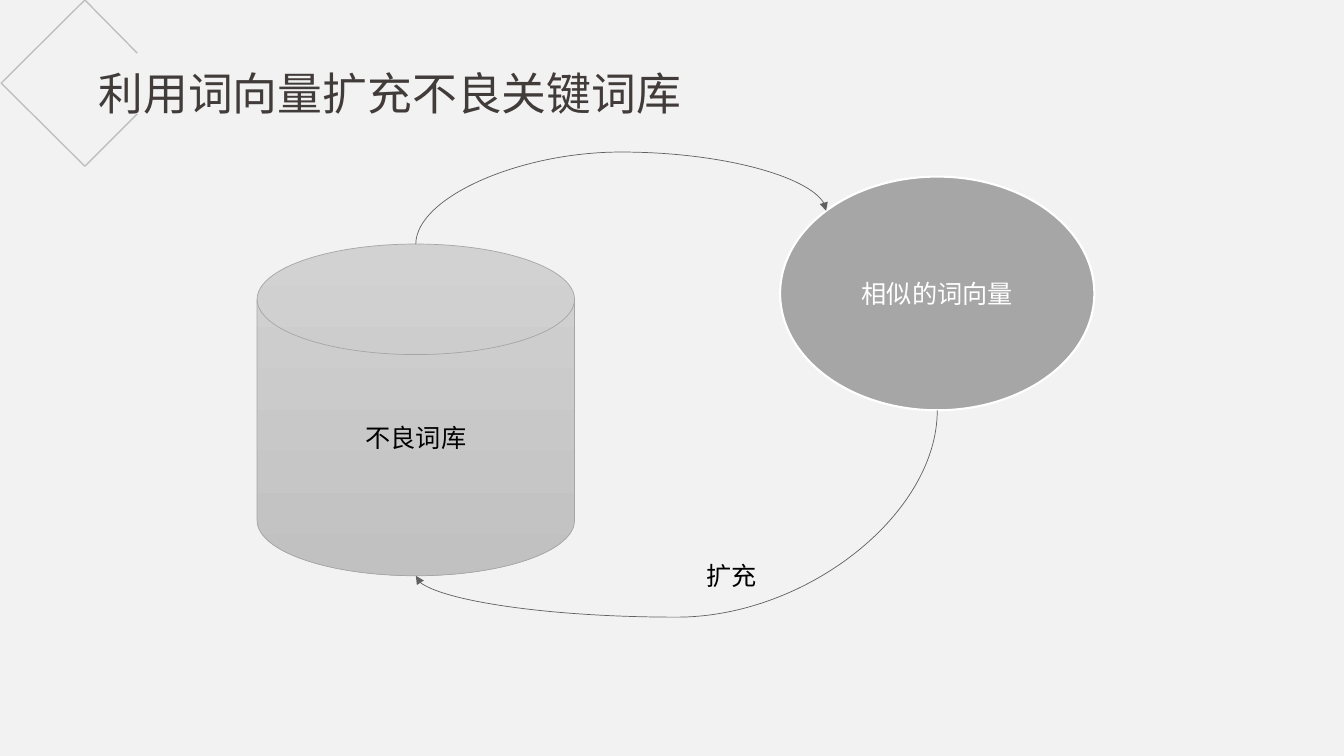
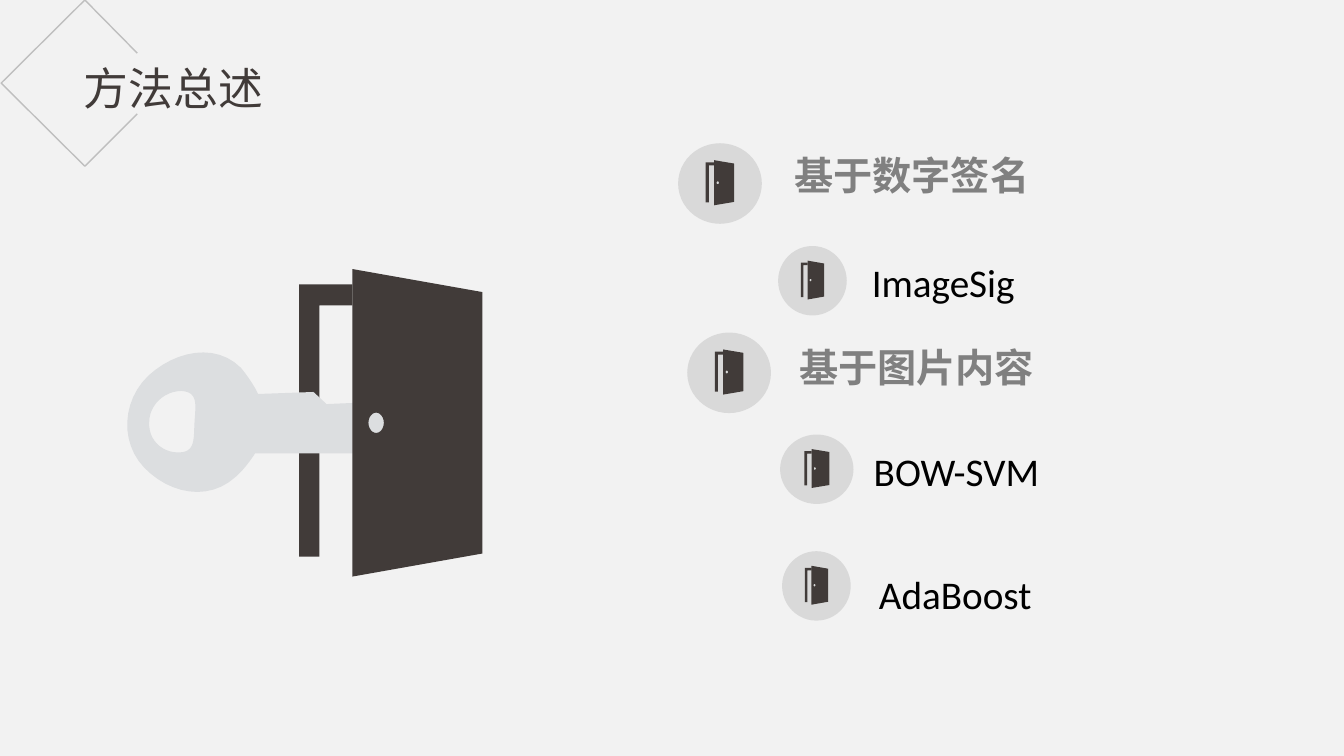
import math

from lxml import etree
from pptx import Presentation
from pptx.dml.color import RGBColor
from pptx.enum import shapes, text
from pptx.oxml.ns import qn
from pptx.util import Cm, Pt

PAPER = RGBColor(0xF2, 0xF2, 0xF2)
INK = RGBColor(0x41, 0x3B, 0x39)
HEADING = RGBColor(0x80, 0x80, 0x80)
SILVER = RGBColor(0xA6, 0xA6, 0xA6)
DISC = RGBColor(0xD9, 0xD9, 0xD9)
KEY = RGBColor(0xDC, 0xDE, 0xE0)
CORNER = RGBColor(0xBF, 0xBF, 0xBF)
ARROW = RGBColor(0x61, 0x61, 0x61)
CAN_TOP = RGBColor(0xD2, 0xD2, 0xD2)
CAN_BOTTOM = RGBColor(0xC1, 0xC1, 0xC1)
BLACK = RGBColor(0, 0, 0)
WHITE = RGBColor(0xFF, 0xFF, 0xFF)

CJK = "Noto Sans CJK JP"
CJK_BOLD = "Noto Sans CJK SC"
LATIN = "Calibri"

# Outlines are drawn on a grid: (x, y) is a line, six numbers are a Bezier curve.
PERCENT = (100, 100)
CORNER_LINE = [(100, 32), (61.5, 0), (0, 50), (61.5, 100), (100, 68.5)]
DOOR_FRAME = [(29, 5), (0, 5), (0, 93.5), (11, 93.5), (11, 11.8), (29, 11.8)]
DOOR_PANEL = [(29, 0), (100, 7.5), (100, 92.5), (29, 100)]
DOOR_KNOB = [(42 + 4.2 * math.cos(a * math.pi / 12), 50 + 3.3 * math.sin(a * math.pi / 12))
             for a in range(24)]
KEY_GRID = (280, 150)
KEY_HOLE = [(60, 43), (77, 44, 74, 57, 73, 74), (72, 91, 74, 104, 57, 104),
            (40, 104, 27, 91, 28, 74), (28, 57, 43, 43, 60, 43)]
KEY_BODY = [(27, 28), (1, 53, -1, 94, 23, 119), (48, 145, 87, 153, 114, 128),
            (120, 123, 128, 113, 133, 105), (245, 105), (249, 105, 255, 103, 258, 100),
            (276, 83), (279, 80, 279, 76, 277, 73), (264, 59),
            (261, 56, 255, 54, 251, 54), (204, 56), (191, 44), (136, 46),
            (132, 37, 124, 26, 119, 20), (94, -5, 54, 3, 27, 28)]


def cm_box(*lengths):
    return [Cm(v) for v in lengths]


def write(shape, content, size=18, font=CJK, color=BLACK, bold=False,
          align=text.PP_ALIGN.LEFT, inset=0.25, wrap=True):
    tf = shape.text_frame
    tf.word_wrap = wrap
    tf.auto_size = text.MSO_AUTO_SIZE.NONE
    tf.vertical_anchor = text.MSO_ANCHOR.MIDDLE
    tf.margin_left = tf.margin_right = Cm(inset)
    tf.margin_top = tf.margin_bottom = 0
    p = tf.paragraphs[0]
    p.alignment = align
    r = p.add_run()
    r.text = content
    r.font.size, r.font.bold, r.font.name = Pt(size), bold, font
    r.font.color.rgb = color
    etree.SubElement(r._r.get_or_add_rPr(), qn("a:ea"), typeface=font)


def flatten(outline, steps=12):
    """Turn lines and Bezier curves into plain points."""
    points = [outline[0]]
    for segment in outline[1:]:
        if len(segment) == 2:
            points.append(segment)
            continue
        ends = [points[-1], segment[:2], segment[2:4], segment[4:]]
        for i in range(1, steps + 1):
            t = i / steps
            weights = [(1 - t) ** 3, 3 * t * (1 - t) ** 2, 3 * t * t * (1 - t), t ** 3]
            points.append(tuple(sum(w * e[axis] for w, e in zip(weights, ends))
                                for axis in (0, 1)))
    return points


def draw_outline(parent, box, grid, outlines, fill=None, line=None):
    """Draw outlines as one freeform; an outline inside another makes a hole."""
    x, y, w, h = box
    closed = fill is not None
    builder = None
    for outline in outlines:
        points = [(x + px * w / grid[0], y + py * h / grid[1]) for px, py in flatten(outline)]
        if builder is None:
            builder = parent.build_freeform(*points[0], scale=1.0)
        else:
            builder.move_to(*points[0])
        builder.add_line_segments(points[1:], close=closed)
    sp = builder.convert_to_shape()
    paint(sp, fill, line, 1)


def paint(sp, fill=None, line=None, width=1):
    sp.shadow.inherit = False
    if fill is None:
        sp.fill.background()
    else:
        sp.fill.solid()
        sp.fill.fore_color.rgb = fill
    if line is None:
        sp.line.fill.background()
    else:
        sp.line.color.rgb = line
        sp.line.width = Pt(width)


def add_titled_slide(prs, title, box):
    s = prs.slides.add_slide(prs.slide_layouts.get_by_name("Title Only"))
    draw_outline(s.shapes, cm_box(0.03, 0, 3.43, 4.19), PERCENT, [CORNER_LINE], line=CORNER)
    sp = s.shapes.title
    sp.left, sp.top, sp.width, sp.height = box
    write(sp, title, size=32, color=INK, align=text.PP_ALIGN.CENTER, wrap=False)
    return s


def add_node(s, kind, box, label, color):
    sp = s.shapes.add_shape(kind, *box)
    write(sp, label, color=color, align=text.PP_ALIGN.CENTER)
    return sp


def add_arc_arrow(s, start, end, bend):
    """Join two (shape, site, x, y) ends by a curve that leaves and arrives vertically."""
    (tail, tail_site, x1, y1), (head, head_site, x2, y2) = start, end
    w, h = abs(y2 - y1), abs(x2 - x1)
    left, top = (x1 + x2 - w) // 2, (y1 + y2 - h) // 2
    c = s.shapes.add_connector(shapes.MSO_CONNECTOR.CURVE, left, top, left + w, top + h)
    c.line.color.rgb = ARROW
    c.line.width = Pt(0.5)
    spPr = c._element.spPr
    xfrm = spPr.find(qn("a:xfrm"))
    xfrm.set("rot", "5400000")
    if y2 < y1:
        xfrm.set("flipH", "1")
    if x2 > x1:
        xfrm.set("flipV", "1")
    guides = spPr.find(qn("a:prstGeom")).get_or_add_avLst()
    etree.SubElement(guides, qn("a:gd"), name="adj1", fmla=f"val {round(bend * 100000)}")
    etree.SubElement(spPr.find(qn("a:ln")), qn("a:tailEnd"), type="triangle")
    etree.SubElement(spPr, qn("a:effectLst"))
    links = c._element.find(qn("p:nvCxnSpPr")).find(qn("p:cNvCxnSpPr"))
    for tag, sp, site in (("a:stCxn", tail, tail_site), ("a:endCxn", head, head_site)):
        etree.SubElement(links, qn(tag), id=str(sp.shape_id), idx=str(site))


def add_expansion_cycle(s, box):
    x, y, w, h = box
    can_w, can_h = Cm(8), Cm(8.36)
    can_y = y + h - can_h
    oval_w, oval_h = Cm(7.92), Cm(5.89)
    oval_x = x + w - oval_w

    can = add_node(s, shapes.MSO_SHAPE.FLOWCHART_MAGNETIC_DISK, (x, can_y, can_w, can_h),
                   "不良词库", BLACK)
    paint(can, CAN_TOP, SILVER, 0.5)
    can.fill.gradient()
    can.fill.gradient_angle = 270
    for stop, color in zip(can.fill.gradient_stops, (CAN_TOP, CAN_BOTTOM)):
        stop.color.rgb = color

    oval = add_node(s, shapes.MSO_SHAPE.OVAL, (oval_x, y, oval_w, oval_h),
                    "相似的词向量", WHITE)
    paint(oval, SILVER, WHITE, 1.5)

    can_mid, oval_mid = x + can_w // 2, oval_x + oval_w // 2
    diagonal = (1 - math.sqrt(0.5)) / 2
    oval_corner = (round(oval_x + oval_w * diagonal), round(y + oval_h * diagonal))
    add_arc_arrow(s, (can, 1, can_mid, can_y), (oval, 1, *oval_corner), 2.77)
    add_arc_arrow(s, (oval, 4, oval_mid, y + oval_h), (can, 3, can_mid, y + h), 1.25)
    label = s.shapes.add_textbox(x + Cm(11.07), y + Cm(9.55), Cm(2.11), Cm(1.02))
    write(label, "扩充", wrap=False)


def add_door(parent, box, with_key=False):
    x, y, w, h = box
    draw_outline(parent, box, PERCENT, [DOOR_FRAME], INK)
    if with_key:
        key_box = (x - Cm(4.49), y + Cm(1.98), Cm(7.11), Cm(3.81))
        draw_outline(parent, key_box, KEY_GRID, [KEY_BODY, KEY_HOLE], KEY)
    draw_outline(parent, box, PERCENT, [DOOR_PANEL, DOOR_KNOB], INK)


def add_method(s, label, disc_box, label_x, label_y, **style):
    """Add a disc with a door in it and a label beside it, as one group."""
    x, y, w, h = disc_box
    parts = s.shapes.add_group_shape().shapes
    paint(parts.add_shape(shapes.MSO_SHAPE.OVAL, *disc_box), DISC)
    add_door(parts, (x + w * 0.33, y + h * 0.21, w * 0.34, h * 0.56))
    box = parts.add_textbox(label_x, label_y, Cm(6.4), Cm(1.02))
    write(box, label, size=28, inset=0, **style)


def build_expansion_slide(prs):
    s = add_titled_slide(prs, "利用词向量扩充不良关键词库", cm_box(1.12, 1.52, 17.42, 1.63))
    add_expansion_cycle(s, cm_box(6.48, 4.45, 21.1, 10.06))


def build_summary_slide(prs):
    s = add_titled_slide(prs, "方法总述", cm_box(1.32, 1.4, 6.1, 1.63))
    add_door(s.shapes.add_group_shape().shapes, cm_box(7.54, 6.78, 4.62, 7.75), with_key=True)
    heading = dict(font=CJK_BOLD, color=HEADING, bold=True)
    method = dict(font=LATIN)
    rows = [
        ("基于数字签名", (17.09, 3.61, 2.11, 2.03), 20.02, 3.89, heading),
        ("ImageSig", (19.61, 6.2, 1.73, 1.75), 21.97, 6.58, method),
        ("基于图片内容", (17.32, 8.38, 2.11, 2.03), 20.14, 8.74, heading),
        ("BOW-SVM", (19.66, 10.95, 1.85, 1.75), 22.02, 11.35, method),
        ("AdaBoost", (19.71, 13.89, 1.73, 1.75), 22.15, 14.45, method),
    ]
    for label, disc, label_x, label_y, style in rows:
        add_method(s, label, cm_box(*disc), Cm(label_x), Cm(label_y), **style)


def main():
    prs = Presentation()
    prs.slide_width, prs.slide_height = Cm(33.87), Cm(19.05)
    background = prs.slide_master.background.fill
    background.solid()
    background.fore_color.rgb = PAPER
    build_expansion_slide(prs)
    build_summary_slide(prs)
    prs.save("out.pptx")


if __name__ == "__main__":
    main()
